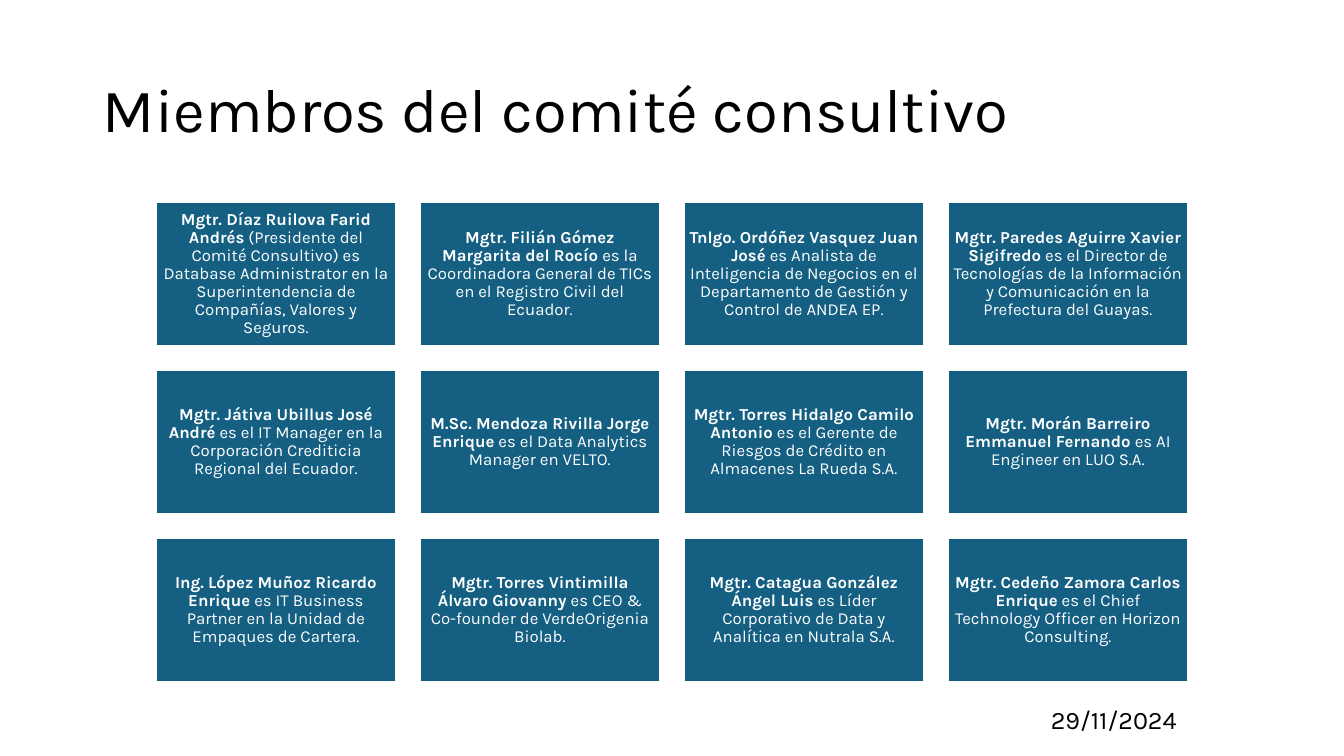
from pptx import Presentation
from pptx import util as u
from pptx.dml.color import RGBColor
from pptx.enum import shapes, text

TITLE = "Miembros del comité consultivo"
DATE = "29/11/2024"
MEMBERS = [
    ("Mgtr. Díaz Ruilova Farid Andrés",
     "(Presidente del Comité Consultivo) es Database Administrator en la "
     "Superintendencia de Compañías, Valores y Seguros."),
    ("Mgtr. Filián Gómez Margarita del Rocío",
     "es la Coordinadora General de TICs en el Registro Civil del Ecuador."),
    ("Tnlgo. Ordóñez Vasquez Juan José",
     "es Analista de Inteligencia de Negocios en el Departamento de Gestión "
     "y Control de ANDEA EP."),
    ("Mgtr. Paredes Aguirre Xavier Sigifredo",
     "es el Director de Tecnologías de la Información y Comunicación en la "
     "Prefectura del Guayas."),
    ("Mgtr. Játiva Ubillus José André",
     "es el IT Manager en la Corporación Crediticia Regional del Ecuador."),
    ("M.Sc. Mendoza Rivilla Jorge Enrique",
     "es el Data Analytics Manager en VELTO."),
    ("Mgtr. Torres Hidalgo Camilo Antonio",
     "es el Gerente de Riesgos de Crédito en Almacenes La Rueda S.A."),
    ("Mgtr. Morán Barreiro Emmanuel Fernando",
     "es AI Engineer en LUO S.A."),
    ("Ing. López Muñoz Ricardo Enrique",
     "es IT Business Partner en la Unidad de Empaques de Cartera."),
    ("Mgtr. Torres Vintimilla Álvaro Giovanny",
     "es CEO & Co-founder de VerdeOrigenia Biolab."),
    ("Mgtr. Catagua González Ángel Luis",
     "es Líder Corporativo de Data y Analítica en Nutrala S.A."),
    ("Mgtr. Cedeño Zamora Carlos Enrique",
     "es el Chief Technology Officer en Horizon Consulting."),
]

FONT = "Karla"
BLACK = RGBColor(0x00, 0x00, 0x00)
WHITE = RGBColor(0xFF, 0xFF, 0xFF)
BLUE = RGBColor(0x15, 0x60, 0x82)

# Lengths in px
SLIDE_W, SLIDE_H = 1344, 756
TITLE_BOX = (93, 40, 1159, 146)
DATE_BOX = (1041, 699, 302, 40)
COLUMNS = 4
GRID_LEFT, GRID_TOP = 156, 202
CARD_W, CARD_H, GAP = 240, 144, 24
CARD_INSET = 5


def px(length):
    return u.Emu(round(length * 914400 / 100.8))


def write(frame, runs, size, color, **paragraph_format):
    """Fill the frame's only paragraph with (wording, bold) runs."""
    frame.word_wrap = True
    paragraph = frame.paragraphs[0]
    for key, value in paragraph_format.items():
        setattr(paragraph, key, value)
    for wording, bold in runs:
        run = paragraph.add_run()
        run.text = wording
        values = {"name": FONT, "size": u.Pt(size), "bold": bold}
        for key, value in values.items():
            setattr(run.font, key, value)
        run.font.color.rgb = color


def add_label(slide, box, wording, size, anchor, **paragraph_format):
    frame = slide.shapes.add_textbox(*map(px, box)).text_frame
    frame.vertical_anchor = anchor
    write(frame, [(wording, False)], size, BLACK, **paragraph_format)


def add_card(slide, index, name, role):
    row, column = divmod(index, COLUMNS)
    box = (GRID_LEFT + column * (CARD_W + GAP),
           GRID_TOP + row * (CARD_H + GAP), CARD_W, CARD_H)
    card = slide.shapes.add_shape(shapes.MSO_SHAPE.RECTANGLE, *map(px, box))
    card.shadow.inherit = False
    card.fill.solid()
    card.fill.fore_color.rgb = BLUE
    card.line.color.rgb = WHITE
    card.line.width = u.Pt(1.5)
    frame = card.text_frame
    frame.vertical_anchor = text.MSO_ANCHOR.MIDDLE
    for side in ("left", "top", "right", "bottom"):
        setattr(frame, f"margin_{side}", px(CARD_INSET))
    write(frame, [(name, True), (f" {role}", False)], 12, WHITE,
          alignment=text.PP_ALIGN.CENTER, line_spacing=0.9)


def main():
    deck = Presentation()
    deck.slide_width, deck.slide_height = px(SLIDE_W), px(SLIDE_H)
    slide = deck.slides.add_slide(deck.slide_layouts[6])
    add_label(slide, TITLE_BOX, TITLE, 44, text.MSO_ANCHOR.MIDDLE,
              line_spacing=0.9)
    for index, (name, role) in enumerate(MEMBERS):
        add_card(slide, index, name, role)
    add_label(slide, DATE_BOX, DATE, 18, text.MSO_ANCHOR.TOP)
    deck.save("out.pptx")


if __name__ == "__main__":
    main()
